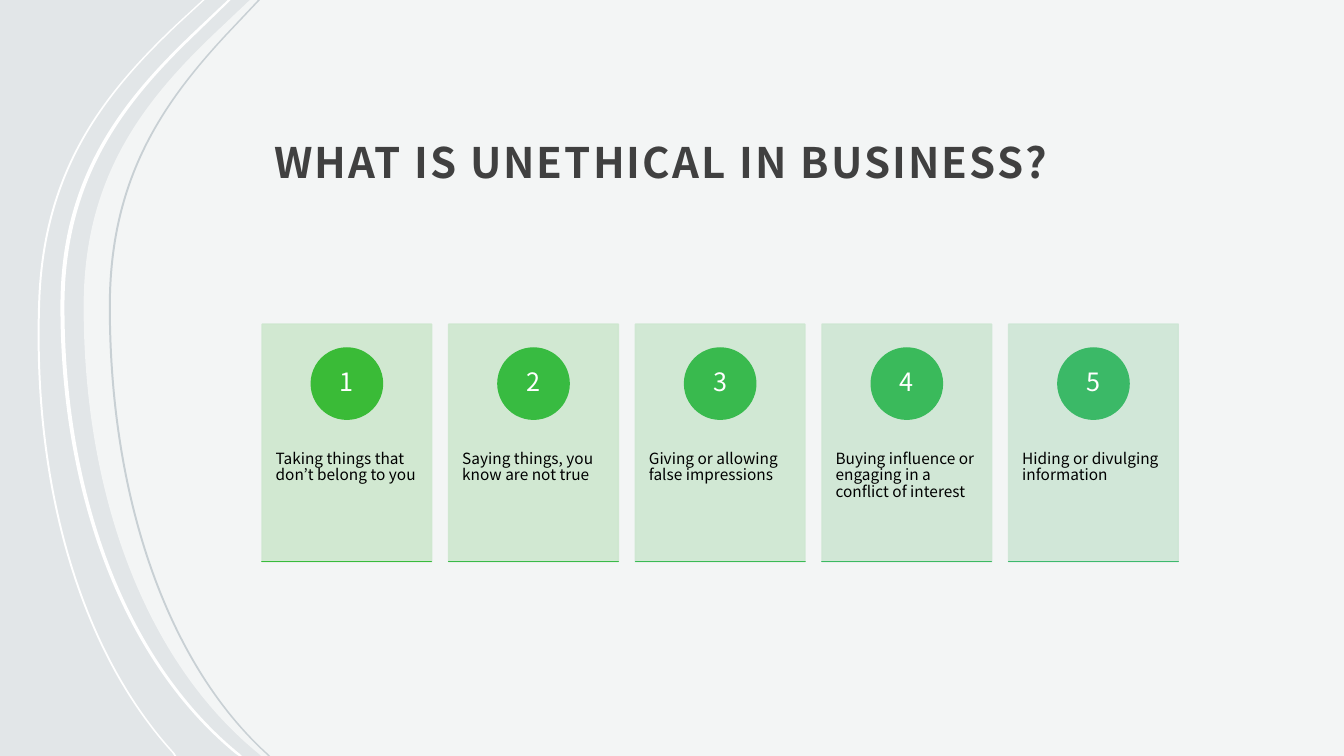
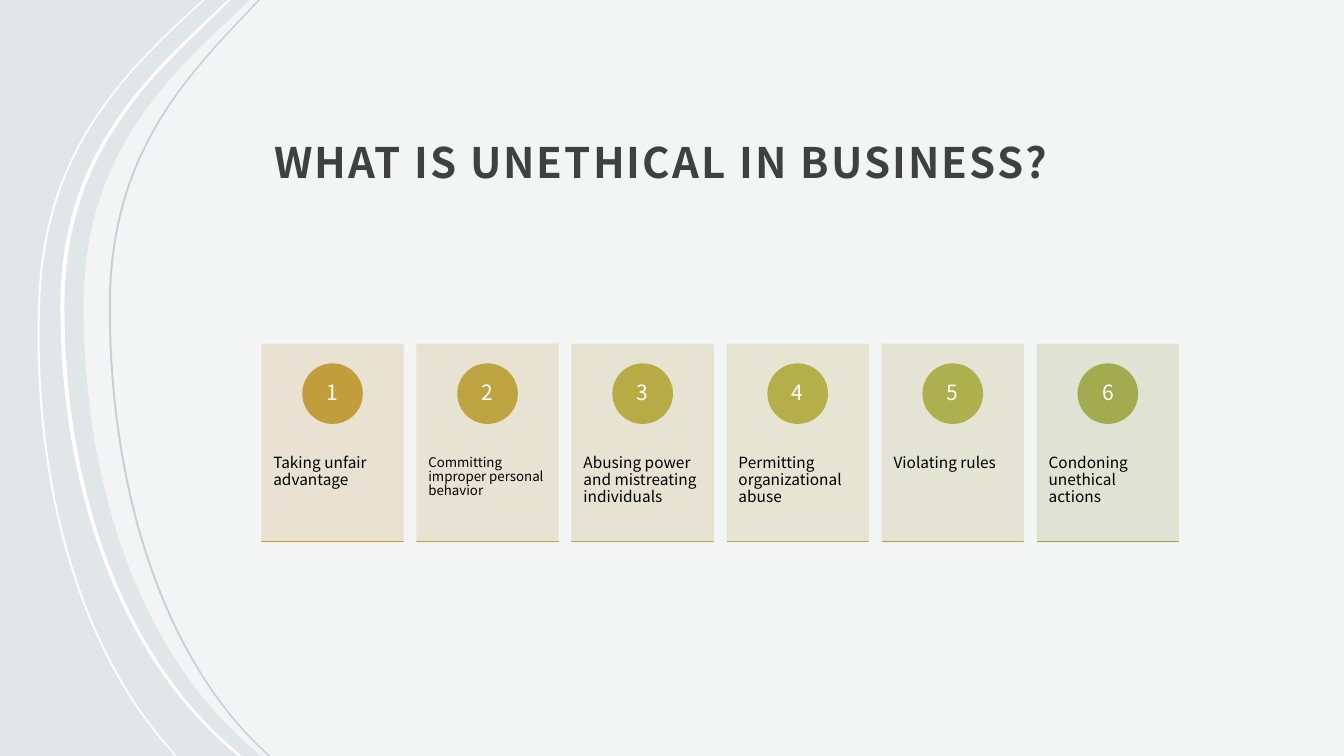
from lxml import etree
from pptx import Presentation
from pptx import util as u
from pptx.dml.color import RGBColor
from pptx.enum import shapes, text
from pptx.oxml.ns import qn

PX = 9144  # EMU in one px, 100 px to the inch
WIDTH, HEIGHT = 1333.33, 750
FONT = "Noto Sans CJK JP"
TITLE = "WHAT IS UNETHICAL IN BUSINESS?"

COLOURS = {
    "background": "E2E6E8",
    "white": "FFFFFF",
    "grey line": "C8D0D4",
    "title": "404040",
    "body": "000000",
}

# One (card, circle, base line) triple for each card
GREENS = [
    ("CEE7CE", "3ABB37", "38BB3B"),
    ("CEE7CF", "38BB41", "39BA48"),
    ("CEE7D1", "39BA4E", "3ABA54"),
    ("CEE6D3", "3ABA5B", "3BB961"),
    ("CEE6D5", "3BB967", "3CB96D"),
]
GOLDS = [
    ("E9DFCE", "C19D3C", "BFA13E"),
    ("E7E1CF", "BDA440", "BAA742"),
    ("E6E2CF", "B8AA44", "B6AD46"),
    ("E5E4D0", "B4AF48", "B2B14A"),
    ("E2E3D0", "ADB04C", "A7AD4E"),
    ("DFE2D1", "A2AB50", "9DA952"),
]

# Outlines: two numbers are a line end, six are a Bézier curve
PANEL = [(248, 0), (WIDTH, 0), (WIDTH, 750), (259, 750), (257, 748),
         (145, 657, 83, 492, 83, 304), (83, 179, 139, 104, 211, 35)]
OUTER_RIBBON = [(201, 0), (203, 0), (177, 24), (104, 93, 45, 168, 40, 297),
                (33, 480, 80, 645, 173, 747), (175, 750), (173, 750), (171, 747),
                (78, 645, 31, 480, 38, 297), (43, 168, 102, 93, 175, 24)]
MIDDLE_RIBBON = [(226, 0), (229, 0), (193, 35), (121, 104, 64, 179, 64, 304),
                 (64, 492, 126, 657, 238, 748), (240, 750), (237, 750), (234, 748),
                 (123, 657, 60, 492, 60, 304), (60, 179, 117, 104, 189, 35)]
INNER_RIBBON = [(256, 0), (258, 0), (225, 35), (161, 104, 110, 179, 110, 304),
                (110, 492, 166, 657, 266, 748), (268, 750), (266, 750), (264, 748),
                (164, 657, 108, 492, 108, 304), (108, 179, 159, 104, 223, 35)]


def px(length):
    return u.Emu(round(length * PX))


def rgb(colour):
    return RGBColor.from_string(COLOURS.get(colour, colour))


def write(box, words, size, colour, bold=False, tracking=0, spacing=0.9,
          align=text.PP_ALIGN.LEFT, anchor=text.MSO_ANCHOR.TOP, margins=(0, 0, 0, 0)):
    frame = box.text_frame
    frame.word_wrap = True
    frame.auto_size = text.MSO_AUTO_SIZE.NONE
    frame.vertical_anchor = anchor
    (frame.margin_left, frame.margin_top,
     frame.margin_right, frame.margin_bottom) = map(px, margins)
    para = frame.paragraphs[0]
    para.alignment = align
    para.line_spacing = spacing
    span = para.add_run()
    span.text = words
    span.font.name = FONT
    span.font.size = u.Pt(size)
    span.font.bold = bold
    span.font.color.rgb = rgb(colour)
    if tracking:
        span._r.get_or_add_rPr().set("spc", str(round(tracking * 100)))


class Deck:
    def __init__(self):
        self.deck = Presentation()
        self.deck.slide_width, self.deck.slide_height = px(WIDTH), px(HEIGHT)
        self.layout = self.deck.slide_layouts.get_by_name("Title Only")
        self.page = None
        self.style_layout()

    def style_layout(self):
        """Background and title place shared by every slide."""
        fill = self.layout.background.fill
        fill.solid()
        fill.fore_color.rgb = rgb("background")
        title, *footers = self.layout.placeholders
        for footer in footers:
            footer.element.getparent().remove(footer.element)
        title.left, title.top, title.width, title.height = map(px, (260, 48, 918, 147))

    def add_page(self, words):
        self.page = self.deck.slides.add_slide(self.layout)
        write(self.page.shapes.title, words, 30, "title", bold=True, tracking=1.5,
              spacing=1.3, anchor=text.MSO_ANCHOR.BOTTOM, margins=(12, 12, 12, 10))

    def paint(self, shape, colour, opacity=100, outlined=True):
        shape.shadow.inherit = False
        shape.fill.solid()
        shape.fill.fore_color.rgb = rgb(colour)
        if outlined:
            shape.line.color.rgb = rgb(colour)
            shape.line.width = u.Pt(1)
        else:
            shape.line.fill.background()
        if opacity < 100:
            for tint in list(shape.element.spPr.iter(qn("a:srgbClr"))):
                etree.SubElement(tint, qn("a:alpha")).set("val", str(opacity * 1000))

    def layout_curve(self, outline, colour, opacity=100):
        """Draw a curved outline and hand it to the shared layout."""
        start, *ends = [tuple(map(px, step[-2:])) for step in outline]
        builder = self.page.shapes.build_freeform(*start, scale=1.0)
        builder.add_line_segments(ends, close=True)
        curve = builder.convert_to_shape()
        # Bend the segments that have control points
        segments = list(curve.element.spPr.iter(qn("a:lnTo")))
        for segment, step in zip(segments, outline[1:]):
            if len(step) == 6:
                segment.tag = qn("a:cubicBezTo")
                for index in range(2):
                    x, y = map(px, step[2 * index:2 * index + 2])
                    point = etree.Element(qn("a:pt"), x=str(x - curve.left),
                                          y=str(y - curve.top))
                    segment.insert(index, point)
        self.paint(curve, colour, opacity, outlined=False)
        self.layout.shapes.element.append(curve.element)

    def shape(self, kind, left, top, width, height, colour, opacity=100):
        shape = self.page.shapes.add_shape(kind, *map(px, (left, top, width, height)))
        self.paint(shape, colour, opacity)

    def text(self, left, top, width, height, words, size, colour, **style):
        box = self.page.shapes.add_textbox(*map(px, (left, top, width, height)))
        write(box, words, size, colour, **style)

    def card_row(self, cards, palette, number_size):
        """Numbered cards across a fixed span, with gaps of a tenth of a card."""
        left, span, middle = 260, 909, 439.5
        width = span / (1.1 * len(cards) - 0.1)
        height = 1.4 * width
        top = middle - height / 2
        circle, number = 0.42 * width, 0.3 * width
        circle_top = top + height / 10
        side = 0.08 * width
        for index, ((words, size), colours) in enumerate(zip(cards, palette)):
            card_colour, circle_colour, line_colour = colours
            x = left + index * 1.1 * width
            self.shape(shapes.MSO_SHAPE.RECTANGLE, x, top, width, height,
                       card_colour, opacity=90)
            self.text(x, top + 0.38 * height, width, 0.6 * height, words, size, "body",
                      margins=(side, 36, side, 36))
            self.shape(shapes.MSO_SHAPE.OVAL, x + (width - circle) / 2, circle_top,
                       circle, circle, circle_colour)
            self.text(x + (width - number) / 2, circle_top + (circle - number) / 2,
                      number, number, str(index + 1), number_size, "white",
                      align=text.PP_ALIGN.CENTER, anchor=text.MSO_ANCHOR.MIDDLE,
                      margins=(5, 1, 5, 1))
            # Base line: a flat bar
            self.shape(shapes.MSO_SHAPE.RECTANGLE, x, top + height, width, 0, line_colour)


def main():
    show = Deck()

    # First slide, with the curves that all slides share
    show.add_page(TITLE)
    show.layout_curve(PANEL, "white", opacity=60)
    show.layout_curve(OUTER_RIBBON, "white")
    show.layout_curve(MIDDLE_RIBBON, "white")
    show.layout_curve(INNER_RIBBON, "grey line")
    show.card_row([
        ("Taking things that don’t belong to you", 11),
        ("Saying things, you know are not true", 11),
        ("Giving or allowing false impressions", 11),
        ("Buying influence or engaging in a conflict of interest", 11),
        ("Hiding or divulging information", 11),
    ], GREENS, number_size=18)

    # Second slide
    show.add_page(TITLE)
    show.card_row([
        ("Taking unfair advantage", 11),
        ("Committing improper personal behavior", 9.5),
        ("Abusing power and mistreating individuals", 11),
        ("Permitting organizational abuse", 11),
        ("Violating rules", 11),
        ("Condoning unethical actions", 11),
    ], GOLDS, number_size=15)

    show.deck.save("out.pptx")


if __name__ == "__main__":
    main()
